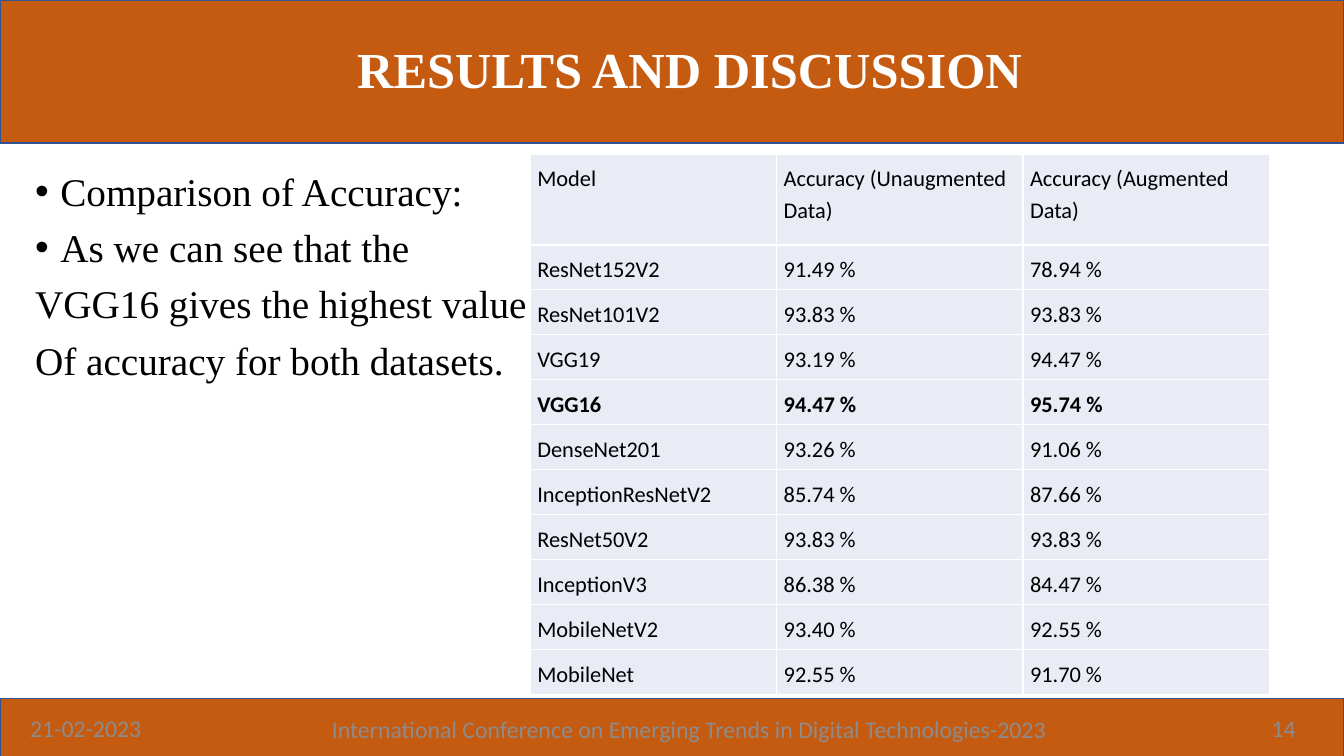
from dataclasses import dataclass

from lxml.etree import SubElement
from pptx import Presentation
from pptx.dml.color import RGBColor
from pptx.enum.shapes import MSO_SHAPE as Shape
from pptx.enum.text import MSO_ANCHOR as Anchor, PP_ALIGN as Align
from pptx.oxml.ns import qn
from pptx.util import Inches, Pt


@dataclass(frozen=True)
class Theme:
    orange: str = "C55A11"
    blue: str = "325491"
    white: str = "FFFFFF"
    black: str = "000000"
    gray: str = "8C8C8C"
    cell: str = "E9EBF5"
    serif: str = "Times New Roman"
    sans: str = "Calibri"
    title_size: int = 36
    body_size: int = 28
    table_size: int = 16
    footer_size: int = 17


WIDTH, HEIGHT = 13.33, 7.5
BODY = [
    ("Comparison of Accuracy:", True),
    ("As we can see that the", True),
    ("VGG16 gives the highest value", False),
    ("Of accuracy for both datasets.", False),
]
HEADER = ("Model", "Accuracy (Unaugmented Data)", "Accuracy (Augmented Data)")
ACCURACY = [
    ("ResNet152V2", 91.49, 78.94),
    ("ResNet101V2", 93.83, 93.83),
    ("VGG19", 93.19, 94.47),
    ("VGG16", 94.47, 95.74),
    ("DenseNet201", 93.26, 91.06),
    ("InceptionResNetV2", 85.74, 87.66),
    ("ResNet50V2", 93.83, 93.83),
    ("InceptionV3", 86.38, 84.47),
    ("MobileNetV2", 93.40, 92.55),
    ("MobileNet", 92.55, 91.70),
]
BEST_MODEL = "VGG16"


def write(para, text, *, font, size, color, bold=False, align=Align.LEFT,
          line_spacing=1.0, before=0, bullet=False):
    para.alignment = align
    para.line_spacing = line_spacing
    para.space_before = Pt(before)
    if bullet:
        properties = para._p.get_or_add_pPr()
        properties.set("marL", str(Inches(0.25)))
        properties.set("indent", str(Inches(-0.25)))
        SubElement(properties, qn("a:buFont"), typeface="Arial")
        SubElement(properties, qn("a:buChar"), char="•")
    span = para.add_run()
    span.text = text
    span.font.name = font
    span.font.size = Pt(size)
    span.font.bold = bold
    span.font.color.rgb = RGBColor.from_string(color)


def outline(cell, color):
    """Draw a one-point border on all sides; call before filling the cell."""
    properties = cell._tc.get_or_add_tcPr()
    for side in ("a:lnL", "a:lnR", "a:lnT", "a:lnB"):
        line = SubElement(properties, qn(side), w=str(Pt(1)))
        fill = SubElement(line, qn("a:solidFill"))
        SubElement(fill, qn("a:srgbClr"), val=color)


class SlideBuilder:
    def __init__(self, slide, theme):
        self.slide = slide
        self.theme = theme

    def band(self, top, height):
        band = self.slide.shapes.add_shape(
            Shape.RECTANGLE, 0, Inches(top), Inches(WIDTH), Inches(height))
        band.shadow.inherit = False
        band.fill.solid()
        band.fill.fore_color.rgb = RGBColor.from_string(self.theme.orange)
        band.line.color.rgb = RGBColor.from_string(self.theme.blue)
        band.line.width = Pt(1)

    def text_frame(self, left, top, width, height, anchor=Anchor.MIDDLE):
        box = self.slide.shapes.add_textbox(
            Inches(left), Inches(top), Inches(width), Inches(height))
        frame = box.text_frame
        frame.word_wrap = True
        frame.vertical_anchor = anchor
        return frame

    def title(self, text):
        frame = self.text_frame(1.09, 0.16, 11.5, 1.11)
        write(frame.paragraphs[0], text, font=self.theme.serif,
              size=self.theme.title_size, color=self.theme.white, bold=True,
              align=Align.CENTER, line_spacing=0.9)

    def body(self, lines):
        frame = self.text_frame(0.25, 1.66, 12.85, 5.12, Anchor.TOP)
        for index, (text, bullet) in enumerate(lines):
            para = frame.add_paragraph() if index else frame.paragraphs[0]
            write(para, text, font=self.theme.serif, size=self.theme.body_size,
                  color=self.theme.black, line_spacing=0.9, before=10, bullet=bullet)

    def footer(self, text, left, top, width, align):
        frame = self.text_frame(left, top, width, 0.4)
        write(frame.paragraphs[0], text, font=self.theme.sans,
              size=self.theme.footer_size, color=self.theme.gray, align=align)

    def accuracy_table(self, header, records):
        rows = [header] + [
            (model, *(f"{value:.2f} %" for value in values)) for model, *values in records]
        table = self.slide.shapes.add_table(
            len(rows), len(header), Inches(5.26), Inches(1.53),
            Inches(7.33), Inches(5.24)).table
        table.first_row = table.horz_banding = False
        for column in table.columns:
            column.width = Inches(7.33 / len(header))
        for index, (row, texts) in enumerate(zip(table.rows, rows)):
            row.height = Inches(0.43 if index else 0.9)
            for cell, text in zip(row.cells, texts):
                self.table_cell(cell, text, bold=texts[0] == BEST_MODEL)

    def table_cell(self, cell, text, bold):
        cell.margin_left = cell.margin_right = Inches(0.07)
        cell.margin_top = cell.margin_bottom = Inches(0.07)
        outline(cell, self.theme.white)
        cell.fill.solid()
        cell.fill.fore_color.rgb = RGBColor.from_string(self.theme.cell)
        write(cell.text_frame.paragraphs[0], text, font=self.theme.sans,
              size=self.theme.table_size, color=self.theme.black, bold=bold,
              line_spacing=1.15)


def main():
    deck = Presentation()
    deck.slide_width, deck.slide_height = Inches(WIDTH), Inches(HEIGHT)
    page = SlideBuilder(deck.slides.add_slide(deck.slide_layouts[6]), Theme())
    page.band(0, 1.42)
    page.band(6.93, 0.58)
    page.title("RESULTS AND DISCUSSION")
    page.body(BODY)
    page.footer("21-02-2023", 0.2, 7.02, 1.78, Align.LEFT)
    page.footer("International Conference on Emerging Trends in Digital Technologies-2023",
                2.37, 7.03, 8.93, Align.CENTER)
    page.footer("14", 11.57, 7.02, 1.38, Align.RIGHT)
    page.accuracy_table(HEADER, ACCURACY)
    deck.save("out.pptx")


if __name__ == "__main__":
    main()
